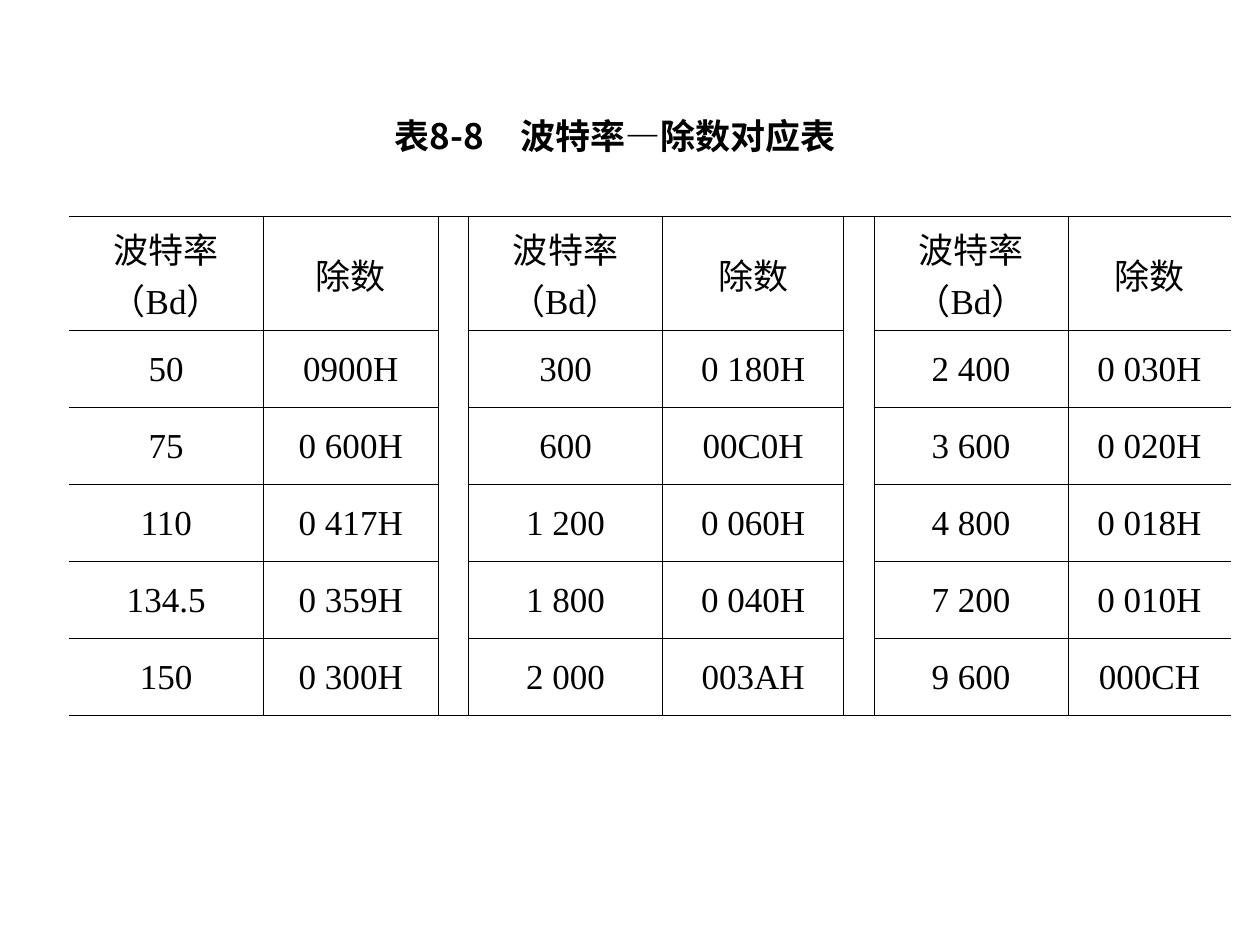
from lxml import etree
from pptx import Presentation
from pptx.dml.color import RGBColor
from pptx.enum import text as tx
from pptx.oxml import ns
from pptx.util import Pt

INK = {"text": "000000", "line": "000000"}
SERIF, SANS = "Times New Roman", "Noto Sans CJK SC"
HEAD = ["波特率（Bd）", "除数"]
BANDS = [
    [("50", "0900H"), ("75", "0 600H"), ("110", "0 417H"),
     ("134.5", "0 359H"), ("150", "0 300H")],
    [("300", "0 180H"), ("600", "00C0H"), ("1 200", "0 060H"),
     ("1 800", "0 040H"), ("2 000", "003AH")],
    [("2 400", "0 030H"), ("3 600", "0 020H"), ("4 800", "0 018H"),
     ("7 200", "0 010H"), ("9 600", "000CH")],
]
WIDTHS = [111, 100, 3, 111, 103.5, 3, 111, 93]
HEIGHTS = [48] + [44] * 5


def sub(node, tag, **attrs):
    return etree.SubElement(node, ns.qn(tag), attrs)


def style(para, face, bold=False):
    para.alignment = tx.PP_ALIGN.CENTER
    tabs = sub(para._p.get_or_add_pPr(), "a:tabLst")
    for inch in range(8):
        sub(tabs, "a:tab", pos=str(Pt(72 * inch)), algn="l")
    for run in para.runs:
        font = run.font
        font.name, font.size, font.bold = face, Pt(20), bold
        font.color.rgb = RGBColor.from_string(INK["text"])
        sub(run._r.get_or_add_rPr(), "a:ea", typeface=SANS)


def rule(cell, sides):
    props = cell._tc.get_or_add_tcPr()
    for side in "LRTB":
        line = sub(props, f"a:ln{side}", w=str(Pt(0.45)))
        if side in sides:
            fill = sub(line, "a:solidFill")
            sub(fill, "a:srgbClr", val=INK["line"])
        else:
            sub(line, "a:noFill")


def fill_cell(cell, words):
    cell.margin_left = cell.margin_right = Pt(5.67)
    cell.margin_top = cell.margin_bottom = Pt(3.6)
    cell.vertical_anchor = tx.MSO_ANCHOR.MIDDLE
    cell.text_frame.text = words
    para = cell.text_frame.paragraphs[0]
    para.space_before = para.space_after = Pt(1.8)
    style(para, SERIF)


def add_title(slide, left, top, width, height):
    box = slide.shapes.add_textbox(Pt(left), Pt(top), Pt(width), Pt(height))
    frame = box.text_frame
    frame.word_wrap = True
    frame.auto_size = tx.MSO_AUTO_SIZE.SHAPE_TO_FIT_TEXT
    frame.text = "表8-8\t波特率—除数对应表"
    style(frame.paragraphs[0], SANS, True)


def add_rates(slide, left, top):
    rows, cols = len(HEIGHTS), len(WIDTHS)
    frame = slide.shapes.add_table(rows, cols, Pt(left), Pt(top),
                                   Pt(sum(WIDTHS)), Pt(sum(HEIGHTS)))
    table = frame.table
    table.first_row = table.horz_banding = False
    for col, width in zip(table.columns, WIDTHS):
        col.width = Pt(width)
    for row, height in zip(table.rows, HEIGHTS):
        row.height = Pt(height)
    for r in range(rows):
        for c in range(cols):
            cell = table.cell(r, c)
            band, part = divmod(c, 3)
            if part < 2:
                fill_cell(cell, ([HEAD] + BANDS[band])[r][part])
            rule(cell, "TB" + "L" * (c > 0) + "R" * (c < cols - 1))
            cell.fill.background()
    for c in range(2, cols, 3):
        table.cell(0, c).merge(table.cell(rows - 1, c))


def main():
    deck = Presentation()
    deck.slide_width, deck.slide_height = Pt(720), Pt(540)
    slide = deck.slides.add_slide(deck.slide_layouts[6])
    add_rates(slide, 39.5, 123.75)
    add_title(slide, 33.5, 62, 636, 31.5)
    deck.save("out.pptx")


if __name__ == "__main__":
    main()
